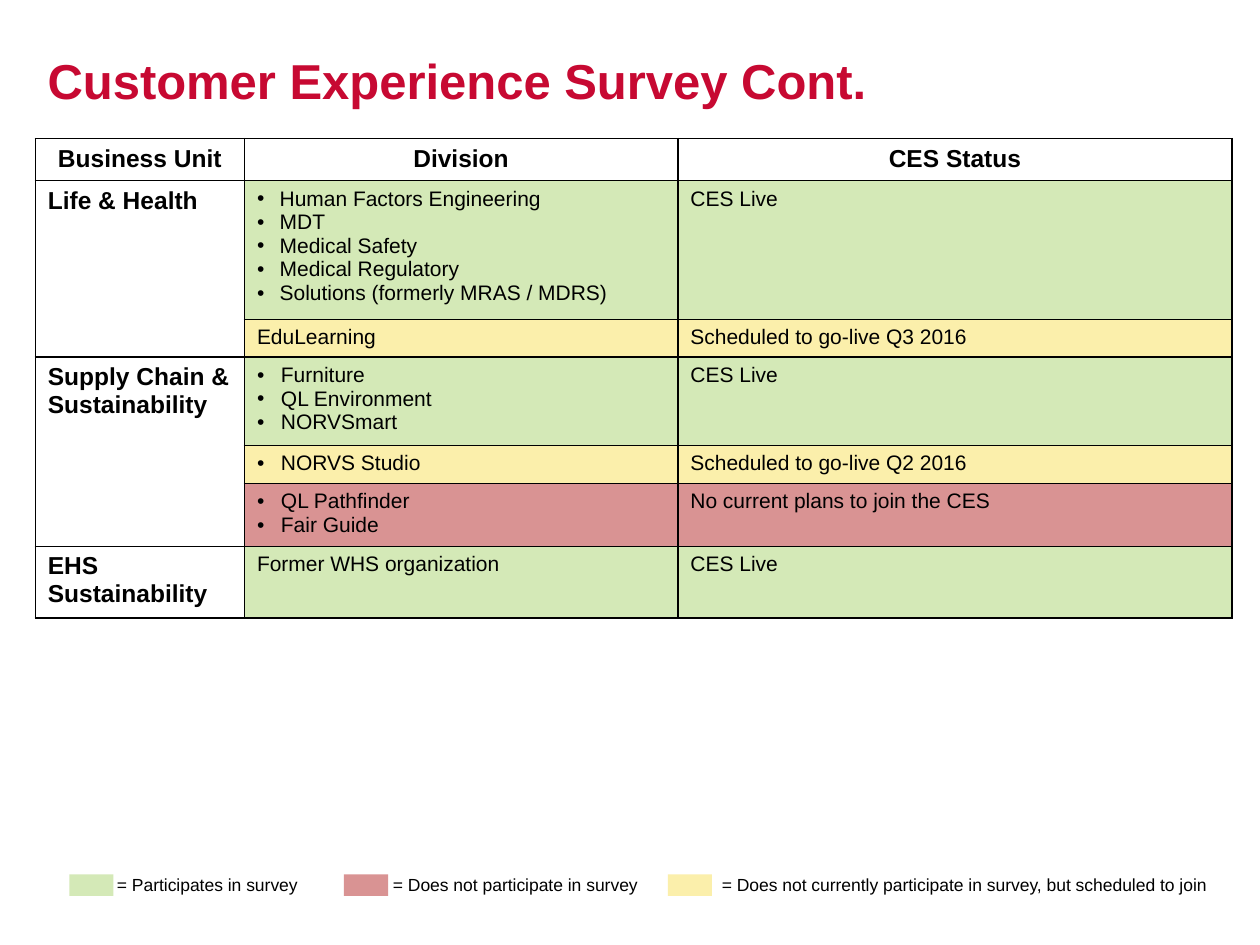
from dataclasses import dataclass

from lxml import etree
from pptx import Presentation
from pptx import util as u
from pptx.dml.color import RGBColor
from pptx.enum import shapes, text
from pptx.oxml import ns

# The slide is a grid of 100 columns by 75 rows
COLS, ROWS = 100, 75
WIDE, HIGH = u.Inches(10), u.Inches(7.5)


@dataclass(frozen=True)
class Theme:
    font: str = "Arial"
    red: str = "C70932"
    ink: str = "000000"
    live: str = "D4E9B7"
    soon: str = "FBEFAB"
    none: str = "D99393"
    title: int = 28
    head: int = 14
    body: int = 12
    key: int = 10


T = Theme()

HEADS = ["Business Unit", "Division", "CES Status"]
# Each unit: name, then rows of (divisions, bullet indent, status, fill)
UNITS = [
    ("Life & Health", [
        (["Human Factors Engineering", "MDT", "Medical Safety",
          "Medical Regulatory", "Solutions (formerly MRAS / MDRS)"],
         0.18, "CES Live", T.live),
        (["EduLearning"], 0, "Scheduled to go-live Q3 2016", T.soon),
    ]),
    ("Supply Chain & Sustainability", [
        (["Furniture", "QL Environment", "NORVSmart"],
         0.19, "CES Live", T.live),
        (["NORVS Studio"], 0.19, "Scheduled to go-live Q2 2016", T.soon),
        (["QL Pathfinder", "Fair Guide"],
         0.19, "No current plans to join the CES", T.none),
    ]),
    ("EHS Sustainability", [
        (["Former WHS organization"], 0, "CES Live", T.live),
    ]),
]
# Each key: fill, swatch column, label column, label width, label
KEYS = [
    (T.live, 5.5, 8.3, 16.4, "= Participates in survey"),
    (T.none, 27.3, 30.2, 22.5, "= Does not participate in survey"),
    (T.soon, 53, 56.3, 40.9,
     "= Does not currently participate in survey, but scheduled to join"),
]


def across(n):
    return round(WIDE * n / COLS)


def down(n):
    return round(HIGH * n / ROWS)


def place(x, y, w, h):
    return across(x), down(y), across(w), down(h)


def style(par, size, color=T.ink, bold=False):
    for run in par.runs:
        font = run.font
        font.name, font.size, font.bold = T.font, u.Pt(size), bold
        font.color.rgb = RGBColor.from_string(color)


def bullet(par, inch):
    props = par._p.get_or_add_pPr()
    props.set("marL", str(u.Inches(inch)))
    props.set("indent", str(-u.Inches(inch)))
    etree.SubElement(props, ns.qn("a:buFont")).set("typeface", T.font)
    etree.SubElement(props, ns.qn("a:buChar")).set("char", "•")


def border(cell):
    props = cell._tc.get_or_add_tcPr()
    for side in ("lnL", "lnR", "lnT", "lnB"):
        line = etree.SubElement(props, ns.qn("a:" + side), w=str(u.Pt(1)))
        fill = etree.SubElement(line, ns.qn("a:solidFill"))
        etree.SubElement(fill, ns.qn("a:srgbClr")).set("val", T.ink)


def paint(cell, color):
    border(cell)
    if color:
        cell.fill.solid()
        cell.fill.fore_color.rgb = RGBColor.from_string(color)
    else:
        cell.fill.background()


def write(cell, lines, size, bold=False, inch=0, align=None):
    cell.text_frame.text = "\n".join(lines)
    for par in cell.text_frame.paragraphs:
        if inch:
            bullet(par, inch)
        par.alignment = align
        style(par, size, bold=bold)


def label(slide, box, words, size, color=T.ink, bold=False, wrap=True):
    frame = slide.shapes.add_textbox(*place(*box)).text_frame
    frame.word_wrap = wrap
    frame.text = words
    style(frame.paragraphs[0], size, color, bold)
    return frame


def add_title(slide, box):
    frame = label(slide, box, "Customer Experience Survey Cont.",
                  T.title, T.red, True)
    frame.margin_top = u.Inches(0.1)


def add_grid(slide, box):
    wide = [16.6, 34.4, 44]
    high = [3.2, 10.3, 2.9, 6.6, 2.8, 4.8, 5.3]
    grid = slide.shapes.add_table(len(high), len(wide), *place(*box)).table
    grid.first_row = grid.horz_banding = False
    for col, n in zip(grid.columns, wide):
        col.width = across(n)
    for row, n in zip(grid.rows, high):
        row.height = down(n)

    # Header row
    for i, head in enumerate(HEADS):
        paint(grid.cell(0, i), None)
        write(grid.cell(0, i), [head], T.head, True,
              align=text.PP_ALIGN.CENTER)

    # Units, each spanning its division rows
    top = 1
    for name, parts in UNITS:
        for r, (names, inch, status, color) in enumerate(parts, top):
            for i, fill in enumerate((None, color, color)):
                paint(grid.cell(r, i), fill)
            write(grid.cell(r, 1), names, T.body, inch=inch)
            write(grid.cell(r, 2), [status], T.body)
        unit = grid.cell(top, 0)
        if len(parts) > 1:
            unit.merge(grid.cell(top + len(parts) - 1, 0))
        write(unit, [name], T.head, True)
        top += len(parts)


def add_keys(slide, y, h):
    for color, x, left, w, words in KEYS:
        chip = slide.shapes.add_shape(
            shapes.MSO_SHAPE.RECTANGLE, *place(x, y + 0.5, 3.5, h - 1))
        chip.shadow.inherit = False
        chip.fill.solid()
        chip.fill.fore_color.rgb = RGBColor.from_string(color)
        chip.line.fill.background()
        label(slide, (left, y, w, h), words, T.key, wrap=False)


def main():
    deck = Presentation()
    deck.slide_width, deck.slide_height = WIDE, HIGH
    slide = deck.slides.add_slide(deck.slide_layouts[6])
    add_title(slide, (2.8, 3, 95.7, 8))
    add_grid(slide, (2.8, 11, 95, 35.9))
    add_keys(slide, 68.9, 2.7)
    deck.save("out.pptx")


if __name__ == "__main__":
    main()
